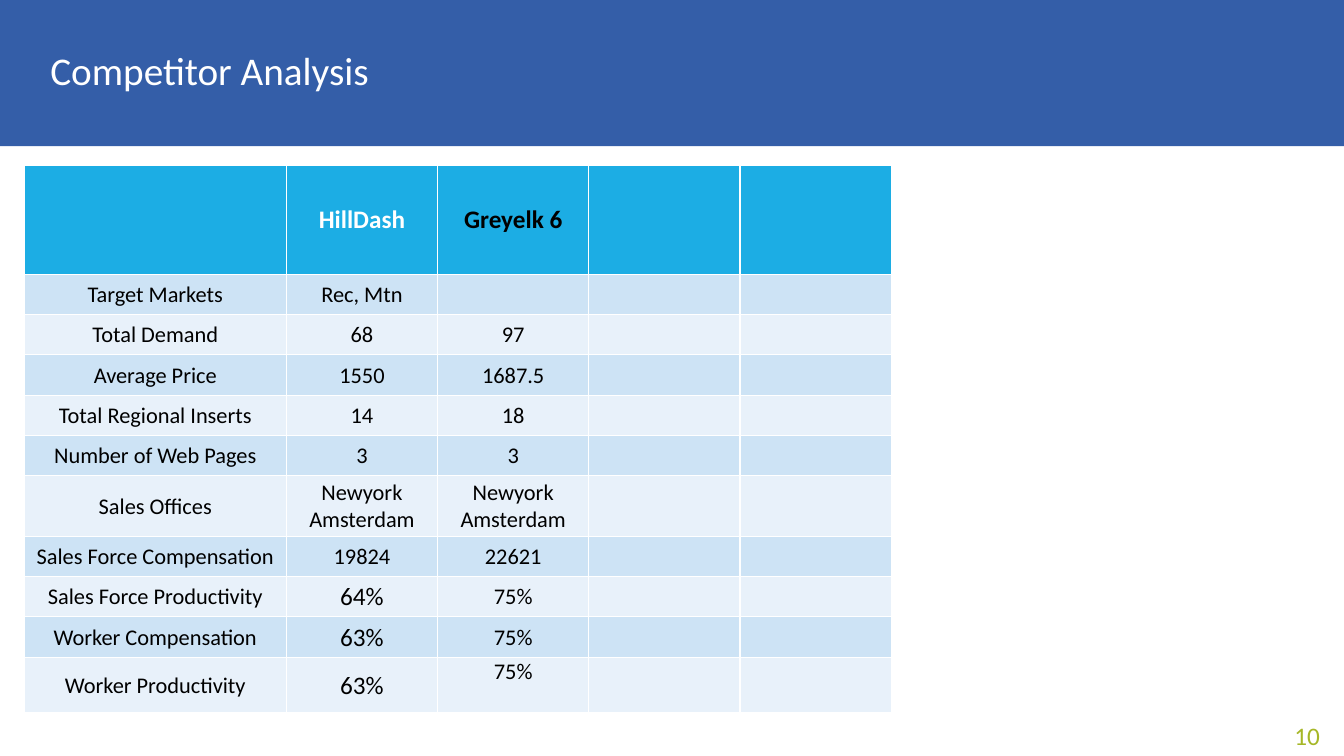
from lxml.etree import SubElement
from pptx import Presentation
from pptx.dml.color import RGBColor
from pptx.enum.text import MSO_ANCHOR, PP_ALIGN
from pptx.oxml.ns import qn
from pptx.util import Inches, Pt

COLORS = {"band": "345EA8", "header": "1CADE4", "odd": "CDE3F5", "even": "E8F1FA",
          "white": "FFFFFF", "black": "000000", "number": "A6B727"}
FONT = "Calibri"
COL_WIDTHS = [2.6] + [1.5] * 4
ROW_HEIGHTS = [1.08] + [0.4] * 5 + [0.6] + [0.4] * 3 + [0.55]
ROWS = [
    ("", "HillDash", "Greyelk 6"),
    ("Target Markets", "Rec, Mtn", ""),
    ("Total Demand", "68", "97"),
    ("Average Price", "1550", "1687.5"),
    ("Total Regional Inserts", "14", "18"),
    ("Number of Web Pages", "3", "3"),
    ("Sales Offices", "Newyork\nAmsterdam", "Newyork\nAmsterdam"),
    ("Sales Force Compensation", "19824", "22621"),
    ("Sales Force Productivity", "64%", "75%"),
    ("Worker Compensation", "63%", "75%"),
    ("Worker Productivity", "63%", "75%"),
]


def rgb(name):
    """Return the named colour."""
    return RGBColor.from_string(COLORS[name])


def style_text(tf, size, color, bold=False, align=None):
    """Format every paragraph and run of a text frame."""
    for p in tf.paragraphs:
        p.alignment = align
        for r in p.runs:
            r.font.name, r.font.size, r.font.bold = FONT, Pt(size), bold
            r.font.color.rgb = rgb(color)


def set_borders(cell):
    """Draw thin white borders around a cell."""
    tcPr = cell._tc.get_or_add_tcPr()
    for side in "LRTB":
        ln = SubElement(tcPr, qn(f"a:ln{side}"), w=str(Pt(1)))
        fill = SubElement(ln, qn("a:solidFill"))
        SubElement(fill, qn("a:srgbClr"), val=COLORS["white"])


def add_title(s, x, y, w, h):
    """Place the title as a coloured band."""
    title = s.shapes.title
    title.left, title.top, title.width, title.height = map(Inches, (x, y, w, h))
    title.fill.solid()
    title.fill.fore_color.rgb = rgb("band")
    tf = title.text_frame
    tf.text = "Competitor Analysis"
    tf.vertical_anchor = MSO_ANCHOR.MIDDLE
    tf.margin_left = Inches(0.5)
    tf.paragraphs[0].line_spacing = 0.9
    style_text(tf, 28, "white", align=PP_ALIGN.LEFT)


def fill_cell(cell, text, row, col):
    """Write and format one cell of the competitor table."""
    header = row == 0
    set_borders(cell)
    cell.fill.solid()
    cell.fill.fore_color.rgb = rgb("header" if header else "odd" if row % 2 else "even")
    cell.margin_left = cell.margin_right = cell.margin_top = Inches(0.01)
    cell.margin_bottom = 0
    top = row == len(ROWS) - 1 and col == 2
    cell.vertical_anchor = MSO_ANCHOR.TOP if top else MSO_ANCHOR.MIDDLE
    cell.text_frame.text = text
    large = header or (col == 1 and text.endswith("%"))
    color = "white" if header and col == 1 else "black"
    style_text(cell.text_frame, 18 if large else 16, color, header, PP_ALIGN.CENTER)


def add_competitor_table(s, x, y):
    """Place the competitor table with its top left corner at x, y."""
    table = s.shapes.add_table(len(ROWS), len(COL_WIDTHS), Inches(x), Inches(y),
                               Inches(sum(COL_WIDTHS)), Inches(sum(ROW_HEIGHTS))).table
    for column, width in zip(table.columns, COL_WIDTHS):
        column.width = Inches(width)
    for i, (row, height) in enumerate(zip(table.rows, ROW_HEIGHTS)):
        row.height = Inches(height)
        for j, cell in enumerate(row.cells):
            fill_cell(cell, ROWS[i][j] if j < len(ROWS[i]) else "", i, j)


def add_page_number(s, x, y, w, h):
    """Place the page number, aligned right."""
    tf = s.shapes.add_textbox(*map(Inches, (x, y, w, h))).text_frame
    tf.word_wrap = True
    tf.text = "10"
    style_text(tf, 18, "number", align=PP_ALIGN.RIGHT)


def main():
    """Build and save the slide."""
    prs = Presentation()
    prs.slide_width, prs.slide_height = Inches(13.33), Inches(7.5)
    s = prs.slides.add_slide(prs.slide_layouts[5])
    add_title(s, 0, 0, 13.33, 1.45)
    add_competitor_table(s, 0.24, 1.64)
    add_page_number(s, 10.19, 7.1, 3, 0.4)
    prs.save("out.pptx")


if __name__ == "__main__":
    main()
